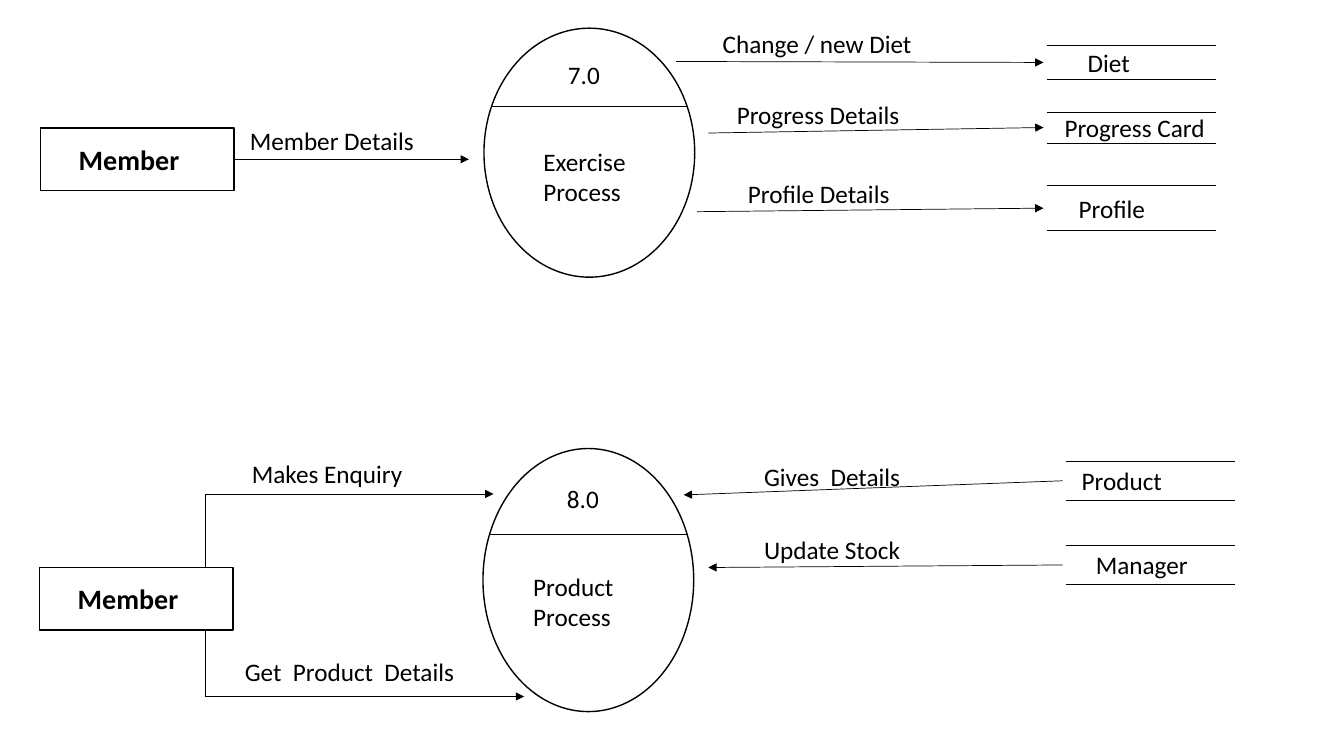
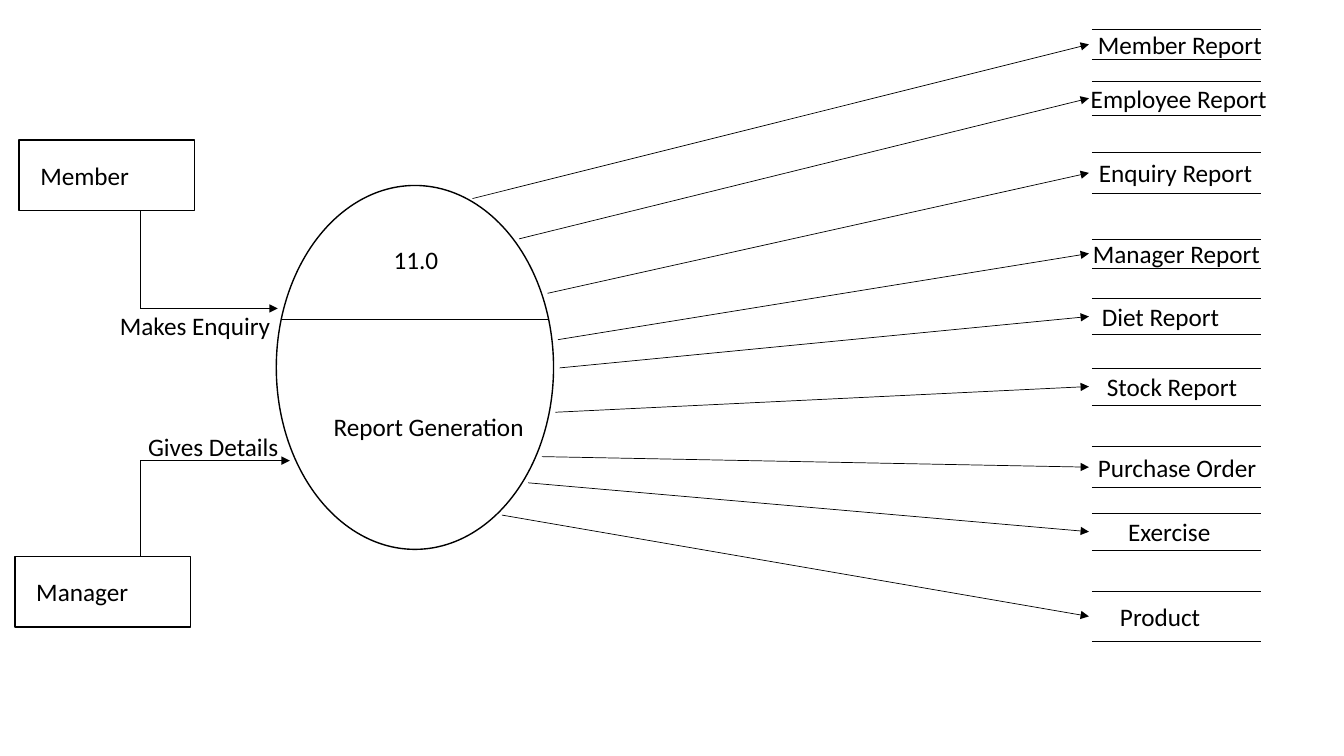
"""Build two data flow diagrams: member processes and report generation."""
from math import sqrt
from lxml.etree import SubElement
from pptx import Presentation
from pptx.dml.color import RGBColor
from pptx.enum.shapes import MSO_CONNECTOR as Connector, MSO_SHAPE as Preset
from pptx.enum.text import MSO_ANCHOR as Anchor, MSO_AUTO_SIZE as AutoSize, PP_ALIGN as Align
from pptx.oxml.ns import qn
from pptx.util import Pt

PX = 9144
SLIDE_WIDTH, SLIDE_HEIGHT = 1333, 750
STORE_WIDTH = 168
LABEL_WIDTH = 240
TEXT_MIDDLE = 20
FONT = "Calibri"
COLORS = {"ink": "000000", "paper": "FFFFFF"}
INK = RGBColor.from_string(COLORS["ink"])
PAPER = RGBColor.from_string(COLORS["paper"])

MEMBER_PAGE = {
    "box": (192, 62), "indent": 38, "size": 20, "bold": True, "stem": 204, "gap": 15,
    "processes": [
        {
            "number": "7.0", "name": "Exercise Process", "name_at": (529, 140),
            "oval": (480, 28, 209, 247), "divider": 106,
            "entities": [("Member", 40, 127, [("Member Details", 238, 119, 158)])],
            "store_left": 1038, "incoming": False,
            "stores": [
                ("Diet", 31, 45, 79, 61, "Change / new Diet", 707),
                ("Progress Card", 8, 111, 142, 132, "Progress Details", 721),
                ("Profile", 22, 184, 229, 210, "Profile Details", 732),
            ],
        },
        {
            "number": "8.0", "name": "Product\nProcess", "name_at": (519, 562),
            "oval": (479, 445, 209, 261), "divider": 530,
            "entities": [("Member", 39, 563, [
                ("Makes Enquiry", 240, 450, 490),
                ("Get  Product  Details", 233, 646, 691),
            ])],
            "store_left": 1057, "incoming": True,
            "stores": [
                ("Product", 6, 458, 496, 491, "Gives  Details", 748),
                ("Manager", 20, 541, 580, 563, "Update Stock", 748),
            ],
        },
    ],
}
REPORT_PAGE = {
    "box": (174, 70), "indent": 21, "size": 18, "bold": False, "stem": 139, "gap": 6,
    "processes": [
        {
            "number": "11.0", "name": "Report Generation", "name_at": (321, 403),
            "oval": (274, 184, 275, 361), "divider": 317,
            "entities": [
                ("Member", 19, 139, [("Makes Enquiry", 109, 303, 306)]),
                ("Manager", 15, 552, [("Gives Details", 137, 423, 457)]),
            ],
            "store_left": 1083, "incoming": False,
            "stores": [
                ("Member Report", -4, 29, 59, 197),
                ("Employee Report", -11, 81, 114, 237),
                ("Enquiry Report", -3, 151, 192, 291),
                ("Manager Report", -9, 237, 266, 337),
                ("Diet Report", 0, 296, 332, 365),
                ("Stock Report", 5, 365, 402, 409),
                ("Purchase Order", -4, 443, 484, 453),
                ("Exercise", 26, 509, 546, 479),
                ("Product", 18, 587, 636, 511),
            ],
        },
    ],
}


def draw_line(page, start, end, arrow=False):
    ends = [round(value * PX) for value in (*start, *end)]
    line = page.shapes.add_connector(Connector.STRAIGHT, *ends)
    line.line.color.rgb = INK
    line.line.width = Pt(0.5)
    if arrow:
        SubElement(line.line._get_or_add_ln(), qn("a:tailEnd"), type="triangle")
    SubElement(line._element.spPr, qn("a:effectLst"))
    return line


def write_text(shape, text, size=18, bold=False):
    frame = shape.text_frame
    frame.word_wrap = True
    frame.text = text
    for para in frame.paragraphs:
        para.alignment = Align.LEFT
        for span in para.runs:
            span.font.name = FONT
            span.font.size = Pt(size)
            span.font.bold = bold
            span.font.color.rgb = INK
    return frame


deck = Presentation()
deck.slide_width = SLIDE_WIDTH * PX
deck.slide_height = SLIDE_HEIGHT * PX

for plan in (MEMBER_PAGE, REPORT_PAGE):
    page = deck.slides.add_slide(deck.slide_layouts[6])
    box_width, box_height = plan["box"]
    gap, stem = plan["gap"], plan["stem"]

    for process in plan["processes"]:
        left, top, width, height = process["oval"]
        center, middle = left + width / 2, top + height / 2
        divider = process["divider"]
        levels = {divider}
        levels.update(store[4] for store in process["stores"])
        levels.update(flow[3] for entity in process["entities"] for flow in entity[3])
        reach = {
            level: width / 2 * sqrt(1 - ((level - middle) / (height / 2)) ** 2)
            for level in levels
        }

        oval = page.shapes.add_shape(
            Preset.OVAL, left * PX, top * PX, width * PX, height * PX
        )
        outlines = [oval]
        draw_line(
            page, (center - reach[divider], divider), (center + reach[divider], divider)
        )
        labels = [
            (process["number"], center - 31, (top + divider) / 2 - 13, LABEL_WIDTH / 2),
            (process["name"], *process["name_at"], width - 50),
        ]

        for name, box_left, box_top, flows in process["entities"]:
            box = page.shapes.add_shape(
                Preset.RECTANGLE,
                box_left * PX, box_top * PX, box_width * PX, box_height * PX,
            )
            frame = write_text(box, name, plan["size"], plan["bold"])
            frame.margin_left = plan["indent"] * PX
            frame.vertical_anchor = Anchor.MIDDLE
            outlines.append(box)
            box_bottom = box_top + box_height
            for text, label_left, label_top, level in flows:
                labels.append((text, label_left, label_top, LABEL_WIDTH))
                tip = center - reach[level] - gap, level
                if box_top < level < box_bottom:
                    arrow = draw_line(page, (box_left + box_width, level), tip, arrow=True)
                    arrow.begin_connect(box, 3)
                else:
                    box_edge = box_top if level < box_top else box_bottom
                    draw_line(page, (stem, box_edge), (stem, level))
                    draw_line(page, (stem, level), tip, arrow=True)

        store_left = process["store_left"]
        for name, indent, upper, lower, level, *caption in process["stores"]:
            for edge in (upper, lower):
                draw_line(page, (store_left, edge), (store_left + STORE_WIDTH, edge))
            store_middle = (upper + lower) / 2
            text_left = store_left + indent
            text_width = min(LABEL_WIDTH, SLIDE_WIDTH - text_left)
            labels.append((name, text_left, store_middle - TEXT_MIDDLE, text_width))
            ends = [(center + reach[level] + gap, level), (store_left - 3, store_middle)]
            if process["incoming"]:
                ends.reverse()
            draw_line(page, *ends, arrow=True)
            if caption:
                text, label_left = caption
                labels.append((text, label_left, level - 2 * TEXT_MIDDLE + 2, LABEL_WIDTH))

        for shape in outlines:
            shape.shadow.inherit = False
            shape.fill.solid()
            shape.fill.fore_color.rgb = PAPER
            shape.line.color.rgb = INK
            shape.line.width = Pt(1)

        for text, *place in labels:
            lines = 2 if "Process" in text else 1
            label_place = [round(value * PX) for value in (*place, 9 + 31 * lines)]
            label = page.shapes.add_textbox(*label_place)
            write_text(label, text).auto_size = AutoSize.SHAPE_TO_FIT_TEXT

deck.save("out.pptx")
